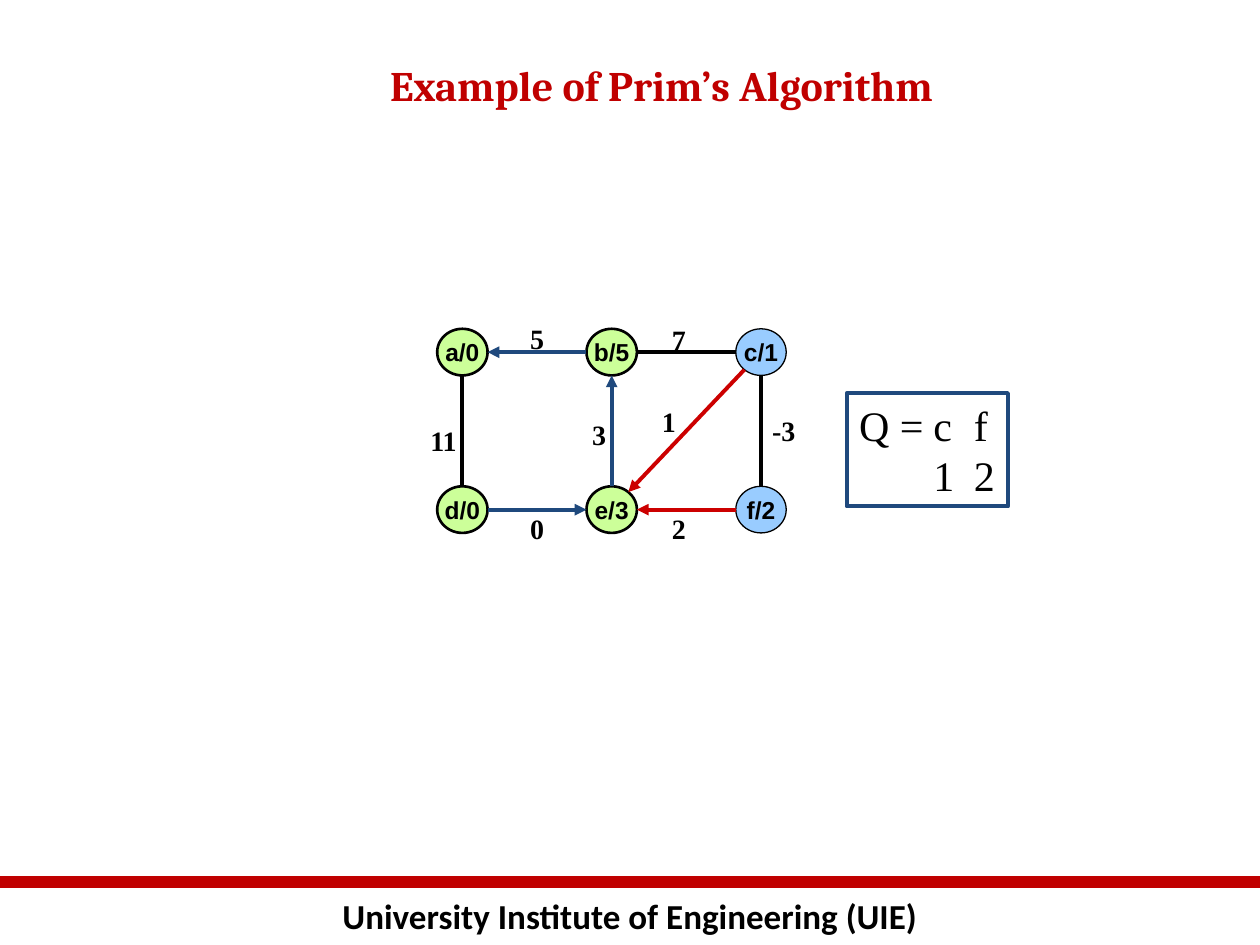
import math
import pptx
import pptx.dml.color
import pptx.enum.shapes
import pptx.enum.text
import pptx.oxml
import pptx.oxml.ns
import pptx.util
from lxml import etree

W, H = 10, 7.5
LEFT, TOP = 3.67, 2.795  # centre of the first node
COL, ROW = 1.185, 1.25  # distance between node centres
NODE_W, NODE_H = 0.4, 0.37

BLACK, RED, NAVY, CRIMSON = "000000", "C00000", "1F497D", "CC0000"
DONE, QUEUED = "CCFF99", "99CCFF"
CENTER = pptx.enum.text.PP_ALIGN.CENTER
SHAPES = pptx.enum.shapes.MSO_SHAPE

# name: key, column, row, fill, outline width
NODES = {
    "a": ("0", 0, 0, DONE, 1.5),
    "b": ("5", 1, 0, DONE, 1.5),
    "c": ("1", 2, 0, QUEUED, 0.75),
    "d": ("0", 0, 1, DONE, 1.5),
    "e": ("3", 1, 1, DONE, 1.5),
    "f": ("2", 2, 1, QUEUED, 0.75),
}
# from, to, colour, arrow, weight, offset of the weight from the middle
EDGES = [
    ("a", "d", BLACK, False, "11", (-0.15, 0.08)),
    ("b", "c", BLACK, False, "7", (-0.06, -0.1)),
    ("c", "f", BLACK, False, "-3", (0.18, 0)),
    ("e", "b", NAVY, True, "3", (-0.1, 0.03)),
    ("f", "e", CRIMSON, True, "2", (-0.06, 0.15)),
    ("d", "e", NAVY, True, "0", (0, 0.15)),
    ("c", "e", CRIMSON, True, "1", (-0.14, -0.07)),
    ("b", "a", NAVY, True, "5", (0, -0.11)),
]


def rgb(color):
    return pptx.dml.color.RGBColor.from_string(color)


def inches(*lengths):
    return [pptx.util.Inches(n) for n in lengths]


def center(name):
    _, col, row, _, _ = NODES[name]
    return LEFT + col * COL, TOP + row * ROW


def style(p, size, font, color=BLACK, bold=True, align=CENTER):
    p.alignment = align
    p.font.size = pptx.util.Pt(size)
    p.font.name = font
    p.font.bold = bold
    p.font.color.rgb = rgb(color)


def add_text(s, box, text, size, font, color=BLACK, wrap=True):
    tf = s.shapes.add_textbox(*inches(*box)).text_frame
    tf.word_wrap = wrap
    tf.text = text
    style(tf.paragraphs[0], size, font, color)


def add_line(s, start, end, color, width, arrow=False):
    sp = s.shapes.add_connector(
        pptx.enum.shapes.MSO_CONNECTOR.STRAIGHT, *inches(*start, *end))
    sp.line.color.rgb = rgb(color)
    sp.line.width = pptx.util.Pt(width)
    if arrow:
        ln = sp.line._get_or_add_ln()
        etree.SubElement(ln, pptx.oxml.ns.qn("a:tailEnd"), type="triangle")
    etree.SubElement(sp._element.spPr, pptx.oxml.ns.qn("a:effectLst"))


def add_shape(s, kind, box, color, width, fill=None):
    sp = s.shapes.add_shape(kind, *inches(*box))
    sp.shadow.inherit = False
    if fill:
        sp.fill.solid()
        sp.fill.fore_color.rgb = rgb(fill)
    else:
        sp.fill.background()
    sp.line.color.rgb = rgb(color)
    sp.line.width = pptx.util.Pt(width)
    return sp.text_frame


def add_node(s, name):
    key, _, _, fill, width = NODES[name]
    x, y = center(name)
    box = x - NODE_W / 2, y - NODE_H / 2, NODE_W, NODE_H
    tf = add_shape(s, SHAPES.OVAL, box, BLACK, width, fill)
    tf.word_wrap = False
    tf.vertical_anchor = pptx.enum.text.MSO_ANCHOR.MIDDLE
    tf.text = f"{name}/{key}"
    style(tf.paragraphs[0], 14, "Arial")


def add_edge(s, tail, head, color, arrow, weight, offset):
    """Join the outlines of two nodes and write the weight near the middle."""
    (x1, y1), (x2, y2) = center(tail), center(head)
    dx, dy = x2 - x1, y2 - y1
    trim = 1 / math.hypot(dx / (NODE_W / 2), dy / (NODE_H / 2))
    start = x1 + dx * trim, y1 + dy * trim
    end = x2 - dx * trim, y2 - dy * trim
    add_line(s, start, end, color, 2.25, arrow)
    w, h = 0.42, 0.37
    x, y = (x1 + x2) / 2 + offset[0], (y1 + y2) / 2 + offset[1]
    add_text(s, (x - w / 2, y - h / 2, w, h), weight, 16,
             "Times New Roman", wrap=False)


def add_queue(s, box, lines, stops):
    """Frame the queue, with its columns lined up on tab stops."""
    tf = add_shape(s, SHAPES.RECTANGLE, box, NAVY, 2.25)
    tf.vertical_anchor = pptx.enum.text.MSO_ANCHOR.TOP
    tf.word_wrap = True
    tf.margin_right = 0
    tf.text = "\n".join(lines)
    for p in tf.paragraphs:
        tabs = etree.SubElement(p._p.get_or_add_pPr(), pptx.oxml.ns.qn("a:tabLst"))
        for stop in inches(*stops):
            etree.SubElement(tabs, pptx.oxml.ns.qn("a:tab"), pos=str(stop), algn="l")
        style(p, 24, "Times New Roman", bold=False,
              align=pptx.enum.text.PP_ALIGN.LEFT)


def main():
    prs = pptx.Presentation()
    prs.slide_width, prs.slide_height = inches(W, H)
    s = prs.slides.add_slide(prs.slide_layouts[6])

    add_text(s, (0, 0.94 * H, W, 0.06 * H), "University Institute of Engineering (UIE)",
             20, "Calibri")
    add_line(s, (0, H * 14 / 15), (W, H * 14 / 15), RED, 7)
    add_text(s, (0.17 * W, 0.056 * H, 0.71 * W, 0.12 * H),
             "Example of Prim’s Algorithm", 24, "Cambria", RED)
    for name in NODES:
        add_node(s, name)
    for edge in EDGES:
        add_edge(s, *edge)
    add_queue(s, (0.672 * W, 0.416 * H, 0.128 * W, 0.12 * H),
              ["Q =\tc\tf", "\t1\t2"], (0.59, 0.91))

    prs.save("out.pptx")


if __name__ == "__main__":
    main()
